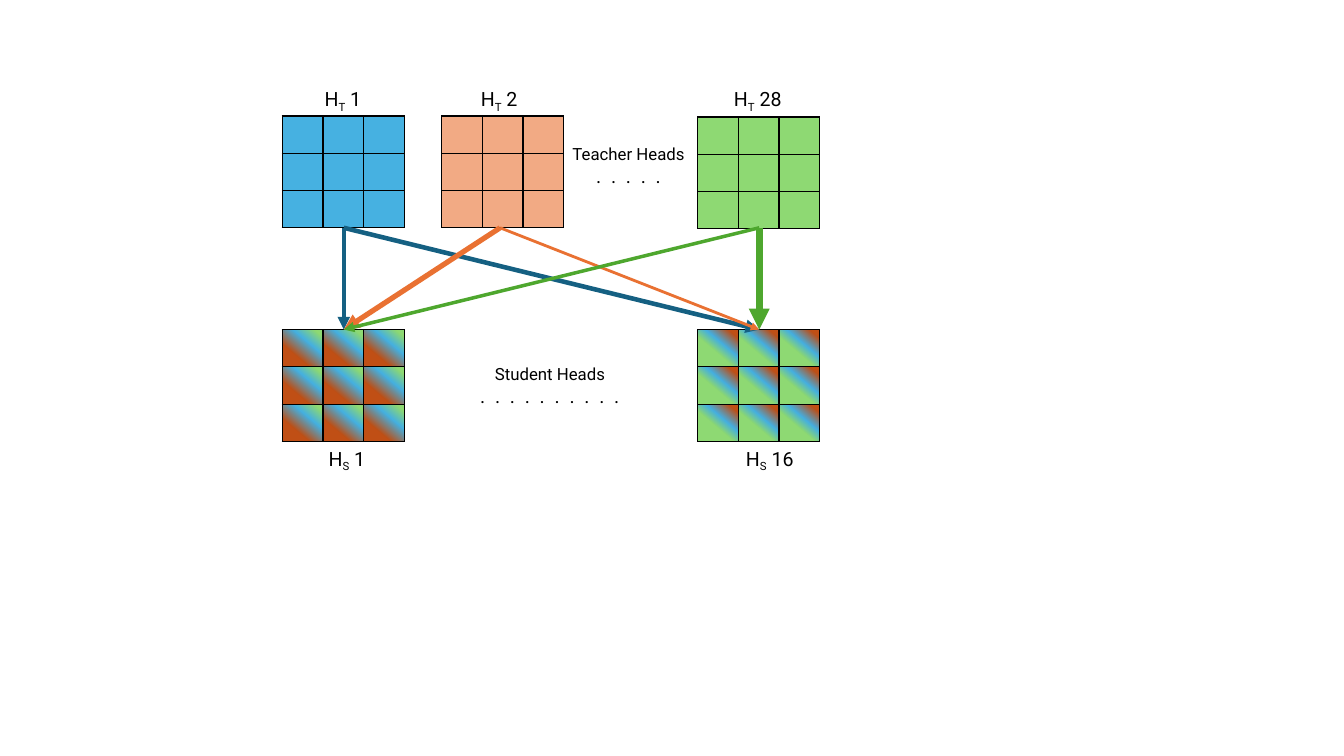
"""Build a slide mapping teacher attention heads onto student heads."""
from lxml import etree
from pptx import Presentation
from pptx.dml.color import RGBColor
from pptx.enum.shapes import MSO_CONNECTOR
from pptx.enum.text import MSO_AUTO_SIZE, PP_ALIGN
from pptx.oxml import parse_xml
from pptx.oxml.ns import nsdecls, qn
from pptx.util import Inches, Pt

STRAIGHT = MSO_CONNECTOR.STRAIGHT
GROW = MSO_AUTO_SIZE.SHAPE_TO_FIT_TEXT
CENTER = PP_ALIGN.CENTER

FONT = "Roboto"
BLACK = "000000"
BLUE, ORANGE, GREEN, RUST = "46B1E1", "F2AA84", "8ED973", "C04F15"
DARK_BLUE, DARK_ORANGE, DARK_GREEN = "156082", "E97132", "4EA72E"
GRID_W, GRID_H, N = 1.21, 1.11, 3
TEACHER_BOTTOM, STUDENT_TOP = 2.26, 3.27


def rgb(value):
    return RGBColor.from_string(value)


def add_text(left, top, width, height):
    tf = s.shapes.add_textbox(Inches(left), Inches(top), Inches(width), Inches(height)).text_frame
    tf.word_wrap = True
    tf.auto_size = GROW
    return tf


prs = Presentation()
prs.slide_width, prs.slide_height = Inches(13.33), Inches(7.5)
s = prs.slides.add_slide(prs.slide_layouts[6])

grids = [
    (2.8, 1.15, [(0, BLUE)]),
    (4.38, 1.15, [(0, ORANGE)]),
    (6.92, 1.16, [(0, GREEN)]),
    (2.8, STUDENT_TOP, [(32, RUST), (65, BLUE), (90, GREEN)]),
    (6.92, STUDENT_TOP, [(43, GREEN), (62, BLUE), (89, RUST)]),
]
for left, top, stops in grids:
    table = s.shapes.add_table(N, N, Inches(left), Inches(top), Inches(GRID_W), Inches(GRID_H)).table
    table.first_row = table.horz_banding = False
    for col in table.columns:
        col.width = Inches(GRID_W / N)
    for row in table.rows:
        row.height = Inches(GRID_H / N)
    for cell in table.iter_cells():
        cell.margin_top = cell.margin_bottom = 0
        tcPr = cell._tc.get_or_add_tcPr()
        for side in ("lnL", "lnR", "lnT", "lnB"):
            tcPr.append(parse_xml(
                f'<a:{side} {nsdecls("a")} w="{Pt(1)}"><a:solidFill>'
                f'<a:srgbClr val="{BLACK}"/></a:solidFill></a:{side}>'))
        if len(stops) == 1:
            cell.fill.solid()
            cell.fill.fore_color.rgb = rgb(stops[0][1])
        else:
            gs = "".join(f'<a:gs pos="{pos * 1000}"><a:srgbClr val="{color}"/></a:gs>'
                         for pos, color in stops)
            tcPr.append(parse_xml(
                f'<a:gradFill {nsdecls("a")}><a:gsLst>{gs}</a:gsLst>'
                f'<a:lin ang="{310 * 60000}" scaled="0"/></a:gradFill>'))

arrows = [
    (3.41, 3.41, DARK_BLUE, 3),
    (3.41, 7.53, DARK_BLUE, 3.25),
    (4.96, 3.41, DARK_ORANGE, 3.75),
    (4.96, 7.53, DARK_ORANGE, 2),
    (7.53, 3.41, DARK_GREEN, 2.5),
    (7.53, 7.53, DARK_GREEN, 5),
]
for x1, x2, color, width in arrows:
    arrow = s.shapes.add_connector(STRAIGHT, Inches(x1), Inches(TEACHER_BOTTOM),
                                   Inches(x2), Inches(STUDENT_TOP))
    arrow.line.color.rgb = rgb(color)
    arrow.line.width = Pt(width)
    etree.SubElement(arrow.line._get_or_add_ln(), qn("a:tailEnd"), type="triangle")
    etree.SubElement(arrow._element.spPr, qn("a:effectLst"))

head_labels = [
    (3.16, 4.38, "S", 1),
    (7.3, 4.38, "S", 16),
    (3.12, 0.81, "T", 1),
    (4.67, 0.81, "T", 2),
    (7.18, 0.81, "T", 28),
]
for left, top, role, number in head_labels:
    tf = add_text(left, top, 0.68, 0.34)
    tf.margin_right = 0
    p = tf.paragraphs[0]
    for text, baseline in (("H", 0), (role, -25000), (f" {number}", 0)):
        r = p.add_run()
        r.text = text
        r.font.size, r.font.name = Pt(14), FONT
        r.font.color.rgb = rgb(BLACK)
        if baseline:
            r._r.get_or_add_rPr().set("baseline", str(baseline))

captions = [
    (5.2, 1.38, 2.07, "Teacher Heads", 5),
    (4.18, 3.56, 2.55, "Student Heads", 10),
]
for left, top, width, caption, dots in captions:
    tf = add_text(left, top, width, 0.54)
    lines = ((caption, 12), ("  ".join("." * dots), 14))
    for p, (text, size) in zip((tf.paragraphs[0], tf.add_paragraph()), lines):
        p.text = text
        p.alignment = CENTER
        p.font.size, p.font.name = Pt(size), FONT
        p.font.color.rgb = rgb(BLACK)

prs.save("out.pptx")
